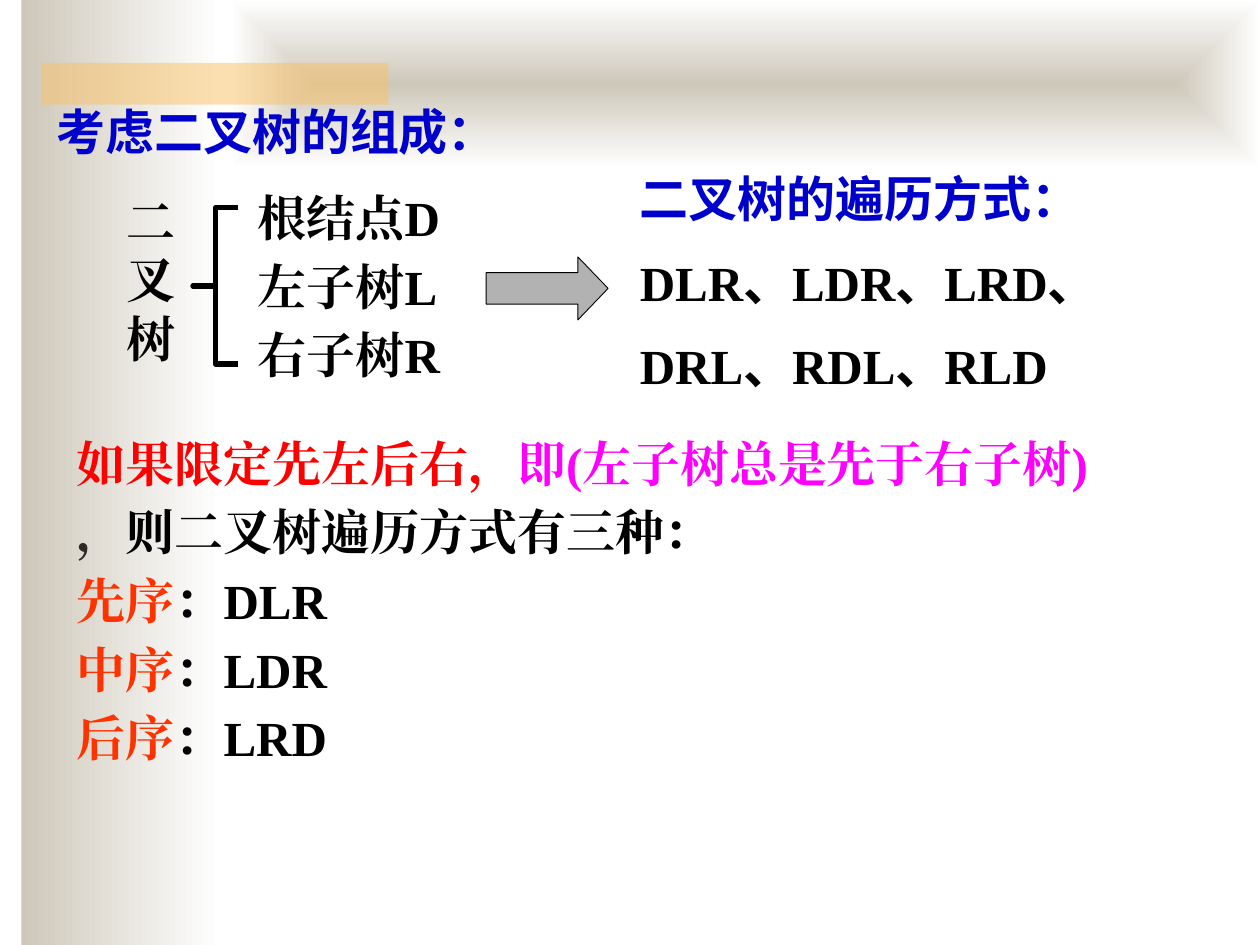
from dataclasses import dataclass

import pptx
import pptx.dml.color
import pptx.enum.shapes
import pptx.enum.text
import pptx.oxml
import pptx.oxml.ns
import pptx.util

Cm = pptx.util.Cm
Pt = pptx.util.Pt
Preset = pptx.enum.shapes.MSO_SHAPE


@dataclass(frozen=True)
class Theme:
    sand: str = "CEC8BA"
    white: str = "FFFFFF"
    amber: str = "FAC164"
    heading: str = "0000CC"
    ink: str = "000000"
    dark: str = "2E2924"
    red: str = "FF0000"
    magenta: str = "FF00FF"
    orange: str = "FF3300"
    grey: str = "B2B2B2"
    serif: str = "Times New Roman"
    sans: str = "Noto Sans CJK SC"
    size: float = 28
    line: float = 33.6


THEME = Theme()


@dataclass(frozen=True)
class Box:
    left: float
    top: float
    width: float
    height: float

    def lengths(self) -> list:
        return [Cm(v) for v in (self.left, self.top, self.width, self.height)]


@dataclass(frozen=True)
class Run:
    text: str
    color: str = THEME.ink
    font: str = THEME.serif


@dataclass(frozen=True)
class TextBlock:
    box: Box
    paragraphs: list
    gap: float  # space between paragraphs, as a share of the type size


def rgb(color: str):
    return pptx.dml.color.RGBColor.from_string(color)


def add_preset(slide, preset, box: Box):
    shape = slide.shapes.add_shape(preset, *box.lengths())
    shape.shadow.inherit = False
    shape.fill.background()
    shape.line.fill.background()
    return shape


def fill_solid(shape, color: str) -> None:
    shape.fill.solid()
    shape.fill.fore_color.rgb = rgb(color)


def outline(shape, width: float) -> None:
    shape.line.color.rgb = rgb(THEME.ink)
    shape.line.width = Pt(width)


def fill_gradient(shape) -> None:
    shape.fill.gradient()
    shape.fill.gradient_angle = 0
    for stop, position, color in zip(shape.fill.gradient_stops, (0, 1), (THEME.sand, THEME.white)):
        stop.position = position
        stop.color.rgb = rgb(color)


def center_gradient(shape) -> None:
    linear = shape._element.spPr.find(".//" + pptx.oxml.ns.qn("a:lin"))
    shape_path = pptx.oxml.parse_xml(
        f'<a:path {pptx.oxml.ns.nsdecls("a")} path="shape">'
        '<a:fillToRect l="50000" t="50000" r="50000" b="50000"/></a:path>'
    )
    linear.getparent().replace(linear, shape_path)


def set_transparency(shape, alpha: int) -> None:
    color = shape._element.spPr.find(".//" + pptx.oxml.ns.qn("a:srgbClr"))
    color.append(pptx.oxml.parse_xml(
        f'<a:alpha {pptx.oxml.ns.nsdecls("a")} val="{alpha * 1000}"/>'))


def add_run(paragraph, run: Run) -> None:
    piece = paragraph.add_run()
    piece.text = run.text
    formats = {"name": run.font, "size": Pt(THEME.size), "bold": True}
    for attribute, value in formats.items():
        setattr(piece.font, attribute, value)
    piece.font.color.rgb = rgb(run.color)
    piece.font._element.find(pptx.oxml.ns.qn("a:latin")).addnext(pptx.oxml.parse_xml(
        f'<a:ea {pptx.oxml.ns.nsdecls("a")} typeface="{run.font}"/>'))


def add_text(slide, block: TextBlock) -> None:
    frame = slide.shapes.add_textbox(*block.box.lengths()).text_frame
    frame.word_wrap = True
    for index, runs in enumerate(block.paragraphs):
        paragraph = frame.add_paragraph() if index else frame.paragraphs[0]
        formats = {
            "line_spacing": Pt(THEME.line),
            "space_before": Pt(THEME.size * block.gap if index else 0),
        }
        for attribute, value in formats.items():
            setattr(paragraph, attribute, value)
        for run in runs:
            add_run(paragraph, run)


def heading(text: str) -> list:
    return [Run(text, THEME.heading, THEME.sans)]


def sequence(orders: str) -> list:
    """Letters in serif, the list commas between them in sans."""
    runs = []
    for order in orders.split("、"):
        runs += [Run(order), Run("、", font=THEME.sans)]
    return [run for run in runs[:-1] if run.text]


TEXTS = [
    TextBlock(Box(12.65, 3.28, 12.34, 5), [
        heading("二叉树的遍历方式："),
        sequence("DLR、LDR、LRD、"),
        sequence("DRL、RDL、RLD"),
    ], 0.5),
    TextBlock(Box(1.3, 8.61, 23.5, 7.19), [
        [Run("如果限定先左后右，", THEME.red), Run("即(左子树总是先于右子树)", THEME.magenta)],
        [Run("，", THEME.dark), Run("则二叉树遍历方式有三种：")],
        *[[Run(name, THEME.orange), Run("：" + order)]
          for name, order in (("先序", "DLR"), ("中序", "LDR"), ("后序", "LRD"))],
    ], 0.2),
    TextBlock(Box(0.89, 1.93, 23.7, 1.45), [heading("考虑二叉树的组成：")], 0.5),
    TextBlock(Box(4.95, 3.66, 4.67, 4.29),
              [[Run(part)] for part in ("根结点D", "左子树L", "右子树R")], 0.2),
    TextBlock(Box(2.31, 3.73, 1.55, 3.81), [[Run("二叉树")]], 0.5),
]


def main() -> None:
    deck = pptx.Presentation()
    deck.slide_width, deck.slide_height = Cm(25.4), Cm(19.05)
    slide = deck.slides.add_slide(deck.slide_layouts[6])

    # Background decoration
    sidebar = add_preset(slide, Preset.RECTANGLE, Box(0.43, 0, 4.01, 19.05))
    fill_gradient(sidebar)
    banner = add_preset(slide, Preset.RECTANGLE, Box(4.65, 0, 20.75, 3.38))
    fill_gradient(banner)
    center_gradient(banner)
    accent = add_preset(slide, Preset.RECTANGLE, Box(0.84, 1.27, 6.99, 0.84))
    fill_solid(accent, THEME.amber)
    set_transparency(accent, 50)

    # Wording
    for block in TEXTS:
        add_text(slide, block)

    # Brace from the tree to its three parts
    brace = add_preset(slide, Preset.LEFT_BRACE, Box(3.89, 4.19, 0.91, 3.15))
    brace.adjustments[0], brace.adjustments[1] = 0, 0.5
    outline(brace, 3)

    # Arrow from the parts to the traversals
    arrow = add_preset(slide, Preset.RIGHT_ARROW, Box(9.8, 5.18, 2.46, 1.27))
    arrow.adjustments[0], arrow.adjustments[1] = 0.5, 0.48
    fill_solid(arrow, THEME.grey)
    outline(arrow, 0.5)

    deck.save("out.pptx")


if __name__ == "__main__":
    main()
